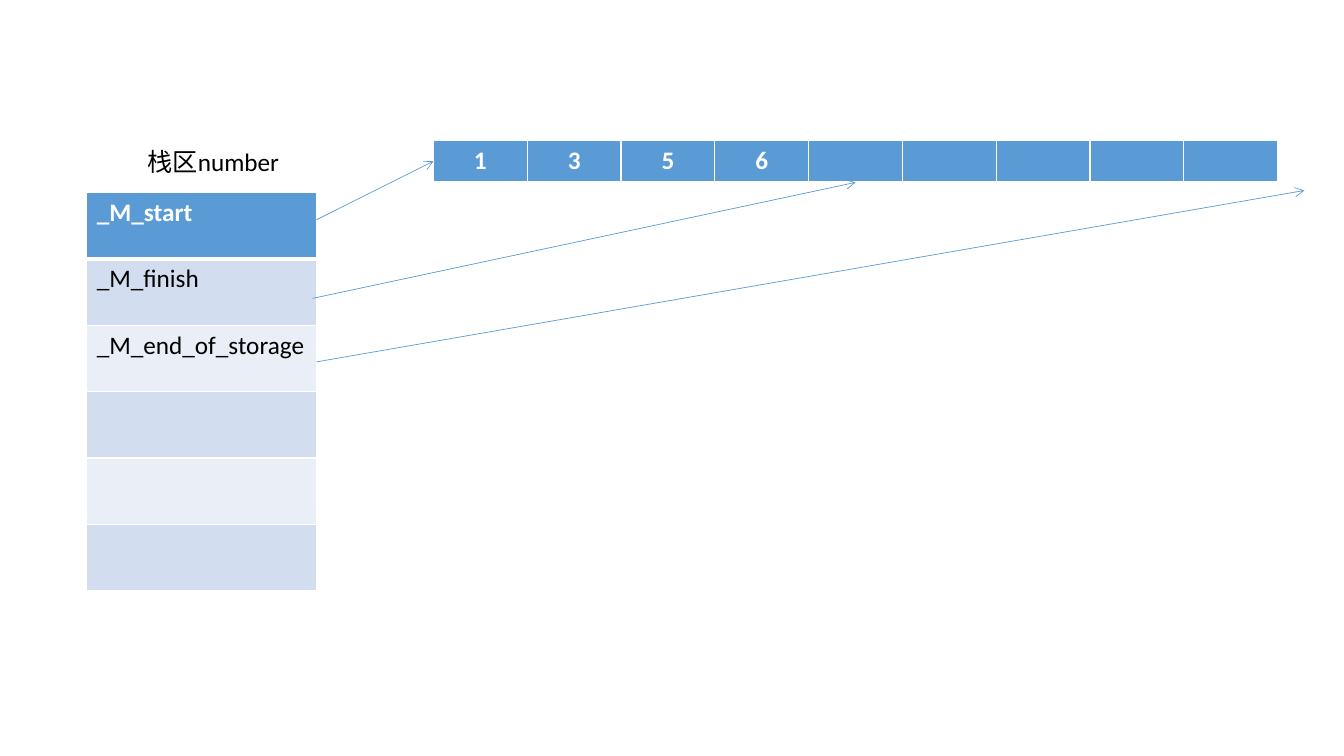
from lxml.etree import SubElement
from pptx import Presentation
from pptx.dml.color import RGBColor
from pptx.enum.shapes import MSO_CONNECTOR as Connector
from pptx.enum.text import PP_ALIGN as Align
from pptx.oxml.ns import qn
from pptx.util import Inches, Pt

FONT, FONT_SIZE = "Calibri", 18
BLUE, WHITE, BLACK = "5B9BD5", "FFFFFF", "000000"
BANDS = ("EAEFF7", "D2DEEF")


def color(hex_text):
    return RGBColor.from_string(hex_text)


class Diagram:
    """Places elements on a grid of 100 columns by 100 rows."""

    def __init__(self, presentation):
        self.column = presentation.slide_width / 100
        self.row = presentation.slide_height / 100
        self.slide = presentation.slides.add_slide(presentation.slide_layouts[6])

    def place(self, x, y):
        return round(x * self.column), round(y * self.row)

    def add_text(self, paragraph, text, ink, bold=False):
        run = paragraph.add_run()
        run.text = text
        run.font.name, run.font.size = FONT, Pt(FONT_SIZE)
        run.font.bold = bold
        run.font.color.rgb = color(ink)

    def border(self, cell, **widths):
        properties = cell._tc.get_or_add_tcPr()
        for side in "LRTB":
            width = Pt(widths.get(side, 1))
            line = SubElement(properties, qn(f"a:ln{side}"), w=str(width))
            fill = SubElement(line, qn("a:solidFill"))
            SubElement(fill, qn("a:srgbClr"), val=WHITE)

    def table(self, x, y, cell_width, cell_height, rows, align):
        width, height = self.place(cell_width, cell_height)
        row_count, column_count = len(rows), len(rows[0])
        table = self.slide.shapes.add_table(
            row_count, column_count, *self.place(x, y),
            width * column_count, height * row_count).table
        for table_column in table.columns:
            table_column.width = width
        for r, texts in enumerate(rows):
            table.rows[r].height = height
            header = r == 0
            for c, text in enumerate(texts):
                cell = table.cell(r, c)
                # A thick line parts the header from the rows below
                self.border(cell, B=3 if header else 1, T=3 if r == 1 else 1)
                cell.fill.solid()
                cell.fill.fore_color.rgb = color(BLUE if header else BANDS[r % 2])
                if text:
                    paragraph = cell.text_frame.paragraphs[0]
                    paragraph.alignment = align
                    self.add_text(paragraph, text, WHITE if header else BLACK, header)

    def arrow(self, start, end):
        connector = self.slide.shapes.add_connector(
            Connector.STRAIGHT, *self.place(*start), *self.place(*end))
        connector.line.color.rgb = color(BLUE)
        connector.line.width = Pt(0.5)
        SubElement(connector.line._get_or_add_ln(), qn("a:tailEnd"), type="arrow")
        SubElement(connector._element.spPr, qn("a:effectLst"))

    def label(self, x, y, width, height, text, indent):
        box = self.slide.shapes.add_textbox(
            *self.place(x, y), *self.place(width, height))
        frame = box.text_frame
        frame.word_wrap = True
        frame.margin_left = round(indent * self.column)
        self.add_text(frame.paragraphs[0], text, BLACK)


def main():
    presentation = Presentation()
    presentation.slide_width, presentation.slide_height = Inches(13.33), Inches(7.5)
    diagram = Diagram(presentation)

    # Members of the vector on the stack
    stack_x, stack_width = 6.45, 17.1
    members = ["_M_start", "_M_finish", "_M_end_of_storage", "", "", ""]
    diagram.table(stack_x, 25.47, stack_width, 8.78,
                  [[member] for member in members], Align.LEFT)

    # Storage with its nine slots
    storage_x, slot_width = 32.25, 6.98
    slots = ["1", "3", "5", "6", "", "", "", "", ""]
    diagram.table(storage_x, 18.53, slot_width, 5.6, [slots], Align.CENTER)

    # Pointers from the members to the storage
    stack_right = stack_x + stack_width
    diagram.arrow((stack_right, 29.07), (storage_x, 21.33))
    diagram.arrow((23.25, 39.47), (storage_x + 4.5 * slot_width, 24.13))
    diagram.arrow((stack_right, 47.87), (97.05, 25.2))

    # Caption above the stack
    diagram.label(6.52, 18.67, 17.03, 5.33, "栈区number", indent=4.45)

    presentation.save("out.pptx")


if __name__ == "__main__":
    main()
